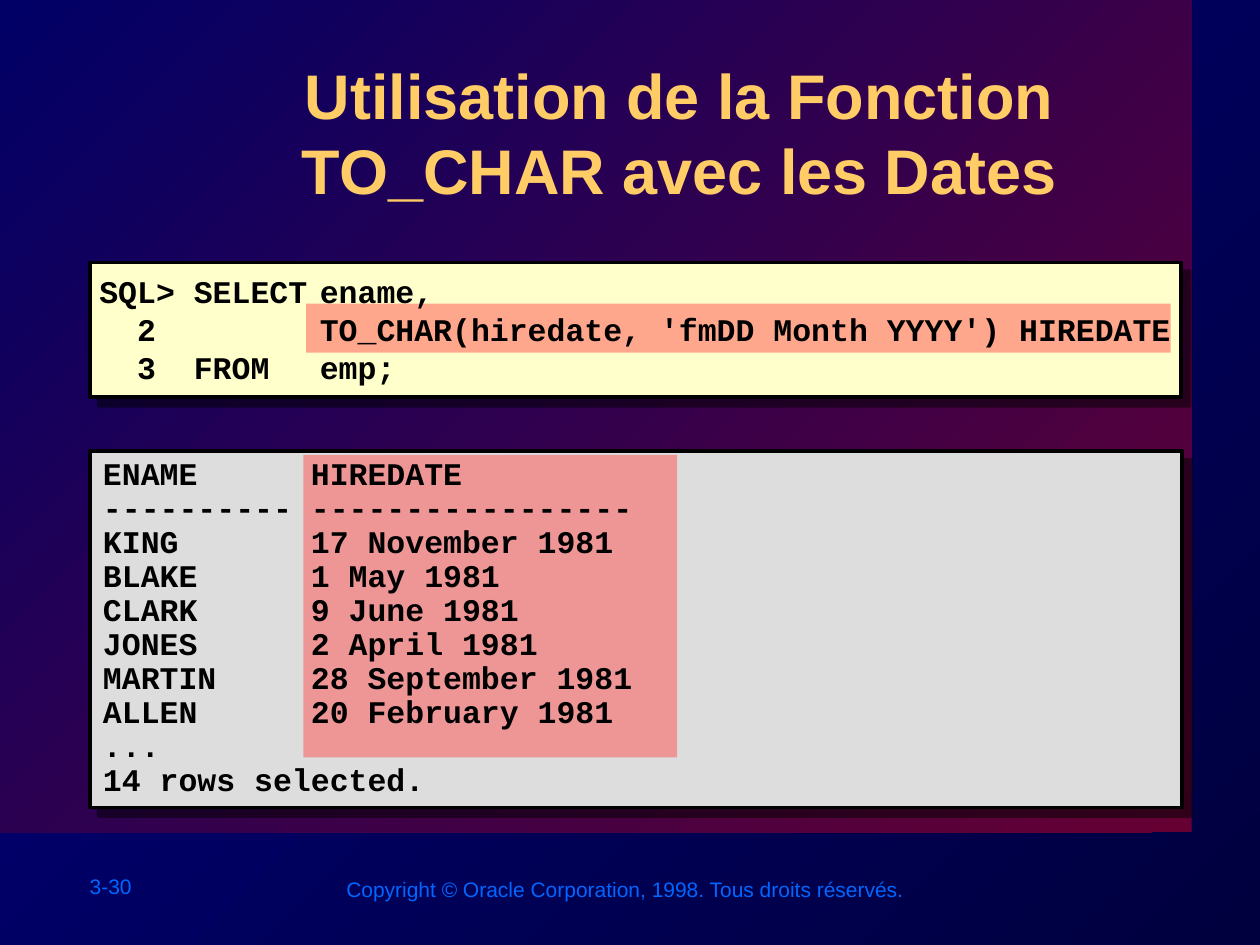
from dataclasses import dataclass

import lxml.etree
import pptx
import pptx.dml.color
import pptx.enum.shapes
import pptx.enum.text
import pptx.oxml.ns
import pptx.util
from pptx.util import Pt


@dataclass(frozen=True)
class Theme:
    background: tuple = ("00003F", "000080")
    backdrop: tuple = ("660033", "000066")
    title: str = "FFCC66"
    footer: str = "0066FF"
    ink: str = "000000"
    query: str = "FFFFCC"
    result: str = "DDDDDD"
    highlight: str = "FF5050"
    text_font: str = "Arial"
    code_font: str = "Courier New"
    title_size: int = 36
    code_size: int = 18
    footer_size: int = 12


QUERY = [
    "SQL> SELECT\tename,",
    "  2\tTO_CHAR(hiredate, 'fmDD Month YYYY') HIREDATE",
    "  3  FROM\temp;",
]
HIRE_DATES = [
    ("ENAME", "HIREDATE"),
    ("-" * 10, "-" * 17),
    ("KING", "17 November 1981"),
    ("BLAKE", "1 May 1981"),
    ("CLARK", "9 June 1981"),
    ("JONES", "2 April 1981"),
    ("MARTIN", "28 September 1981"),
    ("ALLEN", "20 February 1981"),
]
RESULT = ["\t".join(row) for row in HIRE_DATES] + ["...", "14 rows selected."]


def rgb(color):
    return pptx.dml.color.RGBColor.from_string(color)


def child(parent, tag, **attributes):
    return lxml.etree.SubElement(parent, pptx.oxml.ns.qn(tag), attributes)


def paint_gradient(fill, colors):
    """Run the first colour at bottom right into the second at top left."""
    fill.gradient()
    fill.gradient_angle = 135
    for stop, color in zip(fill.gradient_stops, colors):
        stop.color.rgb = rgb(color)


class SlideBuilder:
    def __init__(self, slide, theme):
        self.slide = slide
        self.theme = theme
        paint_gradient(slide.background.fill, theme.background)

    def rectangle(self, left, top, width, height):
        shape = self.slide.shapes.add_shape(
            pptx.enum.shapes.MSO_SHAPE.RECTANGLE, Pt(left), Pt(top), Pt(width), Pt(height))
        shape.shadow.inherit = False
        shape.line.fill.background()
        return shape

    def backdrop(self, width, height):
        shape = self.rectangle(0, 0, width, height)
        paint_gradient(shape.fill, self.theme.backdrop)
        self.slide.shapes.title.element.addprevious(shape.element)

    def cast_shadow(self, effects, distance):
        shadow = child(effects, "a:outerShdw", dist=str(Pt(distance)), dir="2700000",
                       algn="ctr", rotWithShape="0")
        child(child(shadow, "a:srgbClr", val=self.theme.ink), "a:alpha", val="50000")

    def panel(self, left, top, width, height, color):
        shape = self.rectangle(left, top, width, height)
        shape.fill.solid()
        shape.fill.fore_color.rgb = rgb(color)
        shape.line.color.rgb = rgb(self.theme.ink)
        shape.line.width = Pt(2)
        self.cast_shadow(shape.element.spPr.find(pptx.oxml.ns.qn("a:effectLst")), 7.1)

    def highlight(self, left, top, width, height):
        shape = self.rectangle(left, top, width, height)
        shape.fill.solid()
        shape.fill.fore_color.rgb = rgb(self.theme.highlight)
        color = shape.element.spPr.find(".//" + pptx.oxml.ns.qn("a:srgbClr"))
        child(color, "a:alpha", val="50000")

    def format_font(self, font, name, size, color, bold=False):
        font.name = name
        font.size = Pt(size)
        font.color.rgb = rgb(color)
        font.bold = bold

    def title(self, text, left, top, width, height):
        shape = self.slide.shapes.title
        shape.left, shape.top, shape.width, shape.height = map(Pt, (left, top, width, height))
        frame = shape.text_frame
        frame.text = text
        frame.auto_size = pptx.enum.text.MSO_AUTO_SIZE.NONE
        frame.vertical_anchor = pptx.enum.text.MSO_ANCHOR.TOP
        paragraph = frame.paragraphs[0]
        paragraph.alignment = pptx.enum.text.PP_ALIGN.CENTER
        self.format_font(paragraph.font, self.theme.text_font, self.theme.title_size,
                         self.theme.title, bold=True)
        run_properties = paragraph.runs[0]._r.get_or_add_rPr()
        self.cast_shadow(child(run_properties, "a:effectLst"), 3)

    def text_box(self, left, top, width, height, wrap):
        frame = self.slide.shapes.add_textbox(
            Pt(left), Pt(top), Pt(width), Pt(height)).text_frame
        frame.word_wrap = wrap
        return frame

    def footer(self, text, left, top, width, height):
        frame = self.text_box(left, top, width, height, wrap=False)
        frame.text = text
        self.format_font(frame.paragraphs[0].font, self.theme.text_font,
                         self.theme.footer_size, self.theme.footer)

    def listing(self, lines, left, top, width, height, tab, spacing=1.0,
                anchor=pptx.enum.text.MSO_ANCHOR.TOP):
        """Write code lines whose second column starts at the tab stop."""
        frame = self.text_box(left, top, width, height, wrap=True)
        frame.vertical_anchor = anchor
        frame.text = "\n".join(lines)
        for paragraph in frame.paragraphs:
            properties = paragraph._p.get_or_add_pPr()
            child(child(properties, "a:tabLst"), "a:tab", pos=str(Pt(tab)), algn="l")
            paragraph.line_spacing = spacing
            self.format_font(paragraph.font, self.theme.code_font, self.theme.code_size,
                             self.theme.ink, bold=True)


def main():
    theme = Theme()
    presentation = pptx.Presentation()
    presentation.slide_width, presentation.slide_height = Pt(720), Pt(540)
    builder = SlideBuilder(presentation.slides.add_slide(presentation.slide_layouts[5]), theme)

    builder.backdrop(681, 475.5)
    builder.title("Utilisation de la Fonction TO_CHAR avec les Dates", 101, 28.5, 574.5, 69)
    builder.footer("3-30", 44.2, 495.5, 80, 21.6)
    builder.footer("Copyright © Oracle Corporation, 1998. Tous droits réservés.",
                   190.8, 497.3, 335.5, 21.6)

    builder.panel(51.4, 150, 623.5, 77, theme.query)
    builder.panel(51.4, 257.7, 624.2, 203.7, theme.result)
    builder.highlight(174.9, 173.5, 494, 28)
    builder.highlight(173.3, 260, 213.7, 172.8)
    builder.listing(QUERY, 49.7, 134.8, 632, 106.5, tab=126,
                    anchor=pptx.enum.text.MSO_ANCHOR.MIDDLE)
    builder.listing(RESULT, 51.8, 258.3, 571.7, 201.6, tab=118.8, spacing=0.9)

    presentation.save("out.pptx")


if __name__ == "__main__":
    main()
